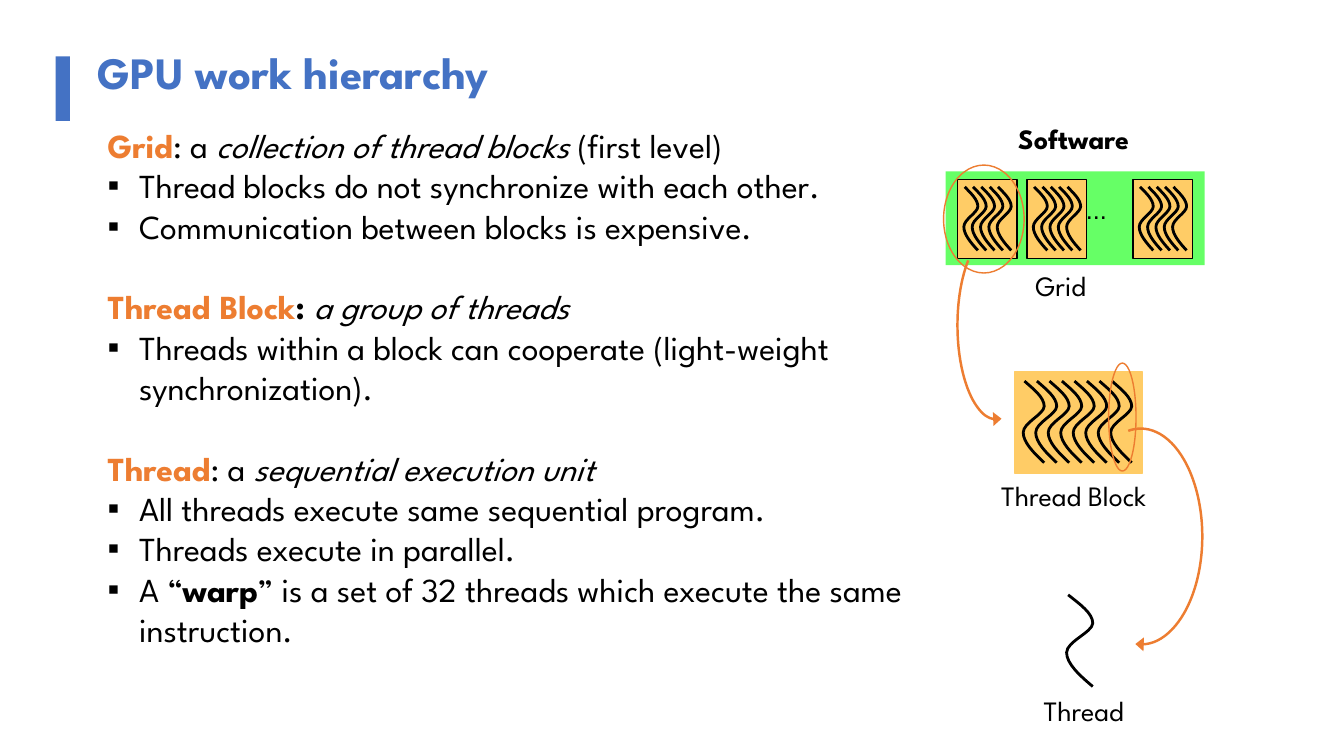
from lxml import etree
from pptx import Presentation
from pptx.dml import color
from pptx.enum import shapes, text
from pptx.oxml import ns
from pptx.util import Cm, Pt

FONT = "League Spartan"
BLUE, ORANGE, BLACK = "4472C4", "ED7D31", "000000"
SAND, GREEN = "FFCC66", "66FF66"
KIND = shapes.MSO_SHAPE
WAVE = [
    (0.06, 0),
    (0.5, 0.1), (1, 0.2), (1, 0.31),
    (0.98, 0.41), (0, 0.51), (0, 0.63),
    (0, 0.75), (0.5, 0.88), (1, 1),
]
NOTES = [
    ("head", [("Grid", "ob"), (": a ", ""), ("collection of thread blocks ", "i"), ("(first level)", "")]),
    ("item", [("Thread blocks do not synchronize with each other.", "")]),
    ("item", [("Communication between blocks is expensive.", "")]),
    ("head", [("Thread Block", "ob"), (": ", "b"), ("a group of threads", "i")]),
    ("item", [("Threads within a block can cooperate (light-weight synchronization).", "")]),
    ("head", [("Thread", "ob"), (": a ", ""), ("sequential execution unit", "i")]),
    ("item", [("All threads execute same sequential program.", "")]),
    ("item", [("Threads execute in parallel.", "")]),
    ("item", [("A “", ""), ("warp", "b"), ("” is a set of 32 threads which execute the same instruction.", "")]),
]


def rgb(code):
    return color.RGBColor.from_string(code)


def style(font, size, code=BLACK, bold=False, slant=False, name=FONT):
    font.name, font.size = name, Pt(size)
    font.bold, font.italic = bold, slant
    font.color.rgb = rgb(code)


def place(shape, box):
    shape.left, shape.top, shape.width, shape.height = map(Cm, box)


def paint(shape, fill=None, line=None, width=1):
    shape.shadow.inherit = False
    if fill:
        shape.fill.solid()
        shape.fill.fore_color.rgb = rgb(fill)
    else:
        shape.fill.background()
    if line:
        shape.line.color.rgb = rgb(line)
        shape.line.width = Pt(width)
    else:
        shape.line.fill.background()


def draw(slide, kind, box, fill=None, line=None, width=1):
    shape = slide.shapes.add_shape(kind, *map(Cm, box))
    paint(shape, fill, line, width)
    return shape


def label(slide, mid, top, wide, words, size=20, bold=False, name=FONT):
    frame = slide.shapes.add_textbox(Cm(mid - wide / 2), Cm(top), Cm(wide), Cm(0.86)).text_frame
    frame.margin_left = frame.margin_right = frame.margin_top = frame.margin_bottom = 0
    frame.word_wrap = False
    frame.text = words
    line = frame.paragraphs[0]
    line.alignment = text.PP_ALIGN.CENTER
    style(line.runs[0].font, size, bold=bold, name=name)


def heading(slide, box):
    x, y, w, h = box
    draw(slide, KIND.RECTANGLE, (x, y + 0.43, 0.36, h), BLUE)
    title = slide.shapes.title
    place(title, (x + 0.81, y, w - 0.81, h))
    frame = title.text_frame
    frame.text = "GPU work hierarchy"
    frame.auto_size = text.MSO_AUTO_SIZE.NONE
    frame.vertical_anchor = text.MSO_ANCHOR.TOP
    frame.paragraphs[0].alignment = text.PP_ALIGN.LEFT
    style(frame.paragraphs[0].runs[0].font, 32, BLUE, True)


def bullet(line, kind):
    props = line._p.get_or_add_pPr()
    dent = Cm(0.79) if kind == "item" else 0
    props.set("marL", str(dent))
    props.set("indent", str(-dent))
    if kind == "item":
        etree.SubElement(props, ns.qn("a:buFont")).set("typeface", "Arial")
        etree.SubElement(props, ns.qn("a:buChar")).set("char", "▪")
    else:
        etree.SubElement(props, ns.qn("a:buNone"))


def notes(slide, box):
    body = slide.placeholders[1]
    place(body, box)
    frame = body.text_frame
    frame.auto_size = text.MSO_AUTO_SIZE.NONE
    frame.vertical_anchor = text.MSO_ANCHOR.TOP
    for i, (kind, parts) in enumerate(NOTES):
        line = frame.add_paragraph() if i else frame.paragraphs[0]
        bullet(line, kind)
        line.space_before = Pt(28.8 if i and kind == "head" else 0)
        for words, look in parts:
            run = line.add_run()
            run.text = words
            style(run.font, 24, ORANGE if "o" in look else BLACK, "b" in look, "i" in look)


def smooth(shape):
    legs = list(shape._element.iter(ns.qn("a:lnTo")))
    track = legs[0].getparent()
    for i in range(0, len(legs), 3):
        curve = etree.SubElement(track, ns.qn("a:cubicBezTo"))
        for leg in legs[i:i + 3]:
            curve.append(leg[0])
            track.remove(leg)


def thread(slide, box):
    x, y, w, h = box
    dots = [(Cm(x + px * w), Cm(y + py * h)) for px, py in WAVE]
    pen = slide.shapes.build_freeform(*dots[0])
    pen.add_line_segments(dots[1:], close=False)
    shape = pen.convert_to_shape()
    smooth(shape)
    paint(shape, line=BLACK, width=2)


def block(slide, box, count, step, line):
    x, y, w, h = box
    draw(slide, KIND.RECTANGLE, box, SAND, line)
    for i in range(count):
        thread(slide, (x + 0.08 * h + i * step, y + 0.095 * h, 1.68 * step, 0.8 * h))


def grid(slide, box):
    x, y, w, h = box
    label(slide, x + 3.23, y - 1.27, 3.17, "Software", bold=True)
    draw(slide, KIND.RECTANGLE, box, GREEN)
    for gap in (0.3, 2.05, 4.72):
        block(slide, (x + gap, y + 0.2, 1.5, 2), 5, 0.21, BLACK)
    label(slide, x + 3.8, y + 0.58, 1.24, "...", 18, name="Arial")
    label(slide, x + 2.9, y + h + 0.08, 1.7, "Grid")


def arrow(slide, box, start, end, flip=False):
    arc = draw(slide, KIND.ARC, box, line=ORANGE, width=1.75)
    arc.adjustments[0], arc.adjustments[1] = start, end
    if flip:
        arc._element.spPr.get_or_add_xfrm().set("flipH", "1")
    tip = etree.SubElement(arc.line._get_or_add_ln(), ns.qn("a:tailEnd"))
    tip.set("type", "triangle")
    tip.set("w", "lg")


def levels(slide, box):
    x, y, w, h = box
    grid(slide, (x, y, w, 2.36))
    block(slide, (x + 1.75, y + 5.04, 3.2, 2.57), 8, 0.315, SAND)
    label(slide, x + 3.23, y + 7.74, 4.85, "Thread Block")
    thread(slide, (x + 3.05, y + 10.67, 0.66, 2.31))
    label(slide, x + 3.48, y + 13.16, 2.62, "Thread")
    arrow(slide, (x + 0.3, y + 1.5, 1.98, 4.75), 176.25, 55.75, True)
    arrow(slide, (x + 3.37, y + 6.48, 3.1, 5.44), 157.93, 55.73)
    for ring in ((x - 0.05, y - 0.16, 2.03, 2.72), (x + 4.11, y + 4.83, 0.69, 2.72)):
        draw(slide, KIND.OVAL, ring, line=ORANGE)


def main():
    deck = Presentation()
    deck.slide_width, deck.slide_height = Cm(33.87), Cm(19.05)
    slide = deck.slides.add_slide(deck.slide_layouts[1])
    notes(slide, (2.46, 3.02, 20.9, 15.65))
    heading(slide, (1.4, 0.99, 23.2, 1.63))
    levels(slide, (23.83, 4.32, 6.53, 14.02))
    deck.save("out.pptx")


if __name__ == "__main__":
    main()
